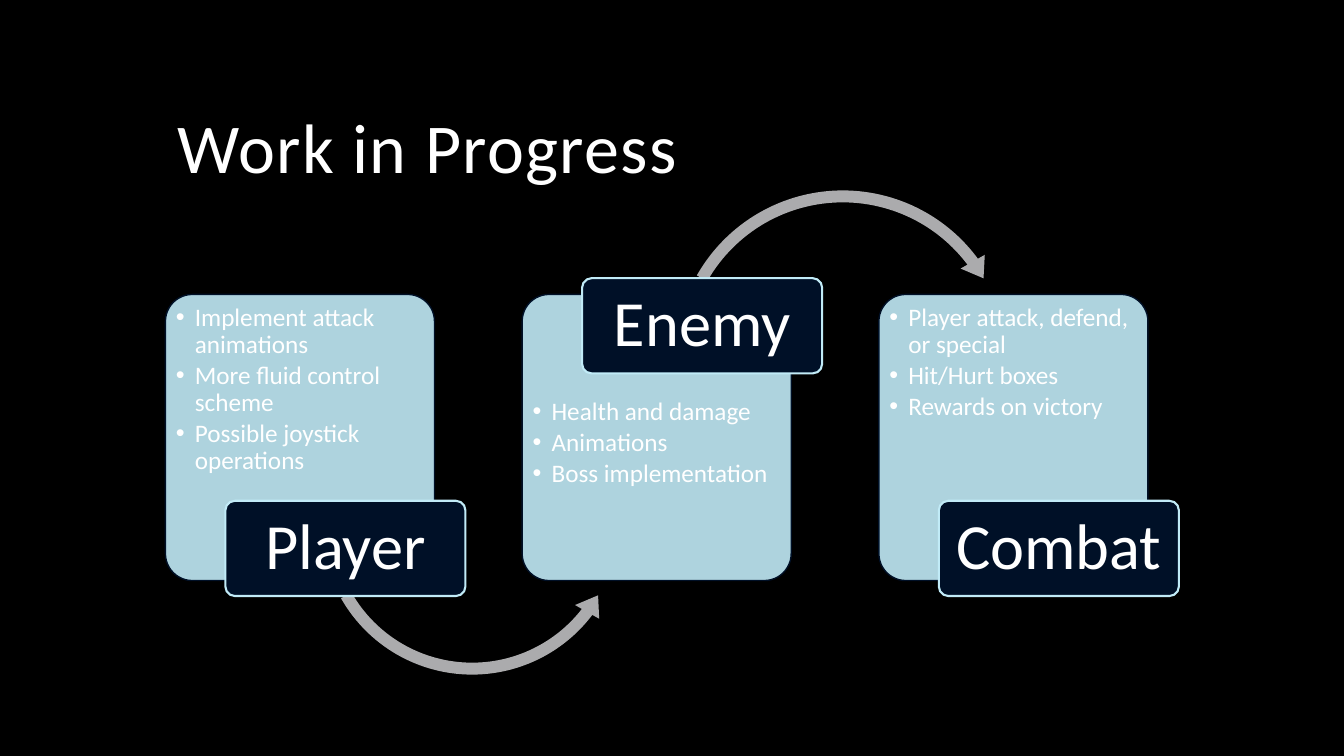
"""Builds the Work in Progress slide: three topic cards linked by curved arrows."""
from dataclasses import dataclass

import pptx
import pptx.dml.color
import pptx.enum.shapes
import pptx.enum.text
import pptx.util
from lxml import etree
from pptx.oxml.ns import qn

Cm = pptx.util.Cm
Pt = pptx.util.Pt
Shapes = pptx.enum.shapes.MSO_SHAPE
Anchor = pptx.enum.text.MSO_ANCHOR
Align = pptx.enum.text.PP_ALIGN

FONT = "Calibri"
BLACK, WHITE, NAVY, ICE, GREY = "000000", "FFFFFF", "001027", "C1EBF7", "ABABAD"
CARD_LEFT, CARD_TOP, CARD_PITCH = 4.17, 7.42, 8.99
CARD_WIDTH, CARD_HEIGHT = 6.78, 7.21
LIST_INSET, LIST_WIDTH = 0.16, 6.46
PLATE_SHIFT, PLATE_WIDTH, PLATE_HEIGHT = 1.51, 6.05, 2.4
BAND, HEAD = 0.3, 0.35


@dataclass(frozen=True)
class Arrow:
    preset: Shapes
    left: float
    top: float
    size: float
    angles: tuple[float, float, float]


@dataclass(frozen=True)
class Topic:
    name: str
    items: tuple[str, ...]
    list_top: float
    list_height: float
    plate_top: float
    arrow: Arrow | None = None


TOPICS = (
    Topic("Player",
          ("Implement attack animations", "More fluid control scheme", "Possible joystick operations"),
          7.57, 5.33, 12.62,
          Arrow(Shapes.LEFT_CIRCULAR_ARROW, 7.9, 9.2, 8.0, (4.72, 22.48, 90.25))),
    Topic("Enemy", ("Health and damage", "Animations", "Boss implementation"),
          9.94, 4.5, 7.01,
          Arrow(Shapes.CIRCULAR_ARROW, 16.81, 4.6, 8.86, (4.22, 194.02, 125.76))),
    Topic("Combat", ("Player attack, defend, or special", "Hit/Hurt boxes", "Rewards on victory"),
          7.57, 5.33, 12.62),
)


def colour(code: str) -> pptx.dml.color.RGBColor:
    return pptx.dml.color.RGBColor.from_string(code)


def place(box, left: float, top: float, width: float, height: float) -> None:
    box.left, box.top, box.width, box.height = Cm(left), Cm(top), Cm(width), Cm(height)


def set_frame(box, anchor: Anchor, inset_x: float, inset_y: float):
    frame = box.text_frame
    frame.word_wrap = True
    frame.auto_size = pptx.enum.text.MSO_AUTO_SIZE.NONE
    frame.vertical_anchor = anchor
    frame.margin_left = frame.margin_right = Cm(inset_x)
    frame.margin_top = frame.margin_bottom = Cm(inset_y)
    return frame


def write(para, text: str, size: float, align: Align, after: float = 0):
    para.alignment = align
    para.line_spacing = 0.9
    para.space_before = Pt(0)
    para.space_after = Pt(after)
    span = para.add_run()
    span.text = text
    span.font.name = FONT
    span.font.size = Pt(size)
    span.font.bold = False
    span.font.color.rgb = colour(WHITE)
    return span


def add_bullet(para) -> None:
    properties = para._p.get_or_add_pPr()
    properties.set("marL", str(Cm(0.48)))
    properties.set("indent", str(-Cm(0.48)))
    etree.SubElement(properties, qn("a:buChar")).set("char", "•")


def add_panel(page, preset: Shapes, area: tuple[float, float, float, float],
              fill: str, line: str | None = None, weight: float = 1):
    panel = page.shapes.add_shape(preset, *map(Cm, area))
    panel.shadow.inherit = False
    panel.fill.solid()
    panel.fill.fore_color.rgb = colour(fill)
    if line:
        panel.line.color.rgb = colour(line)
        panel.line.width = Pt(weight)
    else:
        panel.line.fill.background()
    return panel


def add_card(page, left: float) -> None:
    card = add_panel(page, Shapes.ROUNDED_RECTANGLE,
                     (left, CARD_TOP, CARD_WIDTH, CARD_HEIGHT), ICE, NAVY)
    card.adjustments[0] = 0.1
    tint = card.element.spPr.find(f"{qn('a:solidFill')}/{qn('a:srgbClr')}")
    etree.SubElement(tint, qn("a:alpha")).set("val", "90000")


def fill_list(page, box, topic: Topic, left: float) -> None:
    page.shapes.element.append(box.element)
    place(box, left + LIST_INSET, topic.list_top, LIST_WIDTH, topic.list_height)
    frame = set_frame(box, Anchor.TOP, 0.1, 0.1)
    for index, item in enumerate(topic.items):
        para = frame.add_paragraph() if index else frame.paragraphs[0]
        write(para, item, 18, Align.LEFT, 2.7)
        add_bullet(para)


def add_arrow(page, arrow: Arrow) -> None:
    shape = add_panel(page, arrow.preset, (arrow.left, arrow.top, arrow.size, arrow.size), GREY)
    values = (BAND / arrow.size, *arrow.angles, HEAD / arrow.size)
    for index, value in enumerate(values):
        shape.adjustments[index] = value


def add_plate(page, topic: Topic, left: float) -> None:
    plate = add_panel(page, Shapes.ROUNDED_RECTANGLE,
                      (left + PLATE_SHIFT, topic.plate_top, PLATE_WIDTH, PLATE_HEIGHT),
                      NAVY, ICE, 1.5)
    plate.adjustments[0] = 0.1
    frame = set_frame(plate, Anchor.MIDDLE, 0.25, 0.16)
    write(frame.paragraphs[0], topic.name, 46, Align.CENTER)


def main() -> None:
    deck = pptx.Presentation()
    deck.slide_width, deck.slide_height = Cm(33.87), Cm(19.05)
    page = deck.slides.add_slide(deck.slide_layouts.get_by_name("Comparison"))
    page.background.fill.solid()
    page.background.fill.fore_color.rgb = colour(BLACK)

    title, *bodies = page.placeholders
    place(title, 4.22, 1.07, 25.4, 3.81)
    frame = set_frame(title, Anchor.BOTTOM, 0.25, 0.13)
    span = write(frame.paragraphs[0], "Work in Progress", 50, Align.LEFT)
    span.font._element.set("spc", "100")

    for index, (topic, body) in enumerate(zip(TOPICS, bodies)):
        left = CARD_LEFT + index * CARD_PITCH
        add_card(page, left)
        fill_list(page, body, topic, left)
        if topic.arrow:
            add_arrow(page, topic.arrow)
        add_plate(page, topic, left)
    for spare in bodies[len(TOPICS):]:
        page.shapes.element.remove(spare.element)

    deck.save("out.pptx")


if __name__ == "__main__":
    main()
